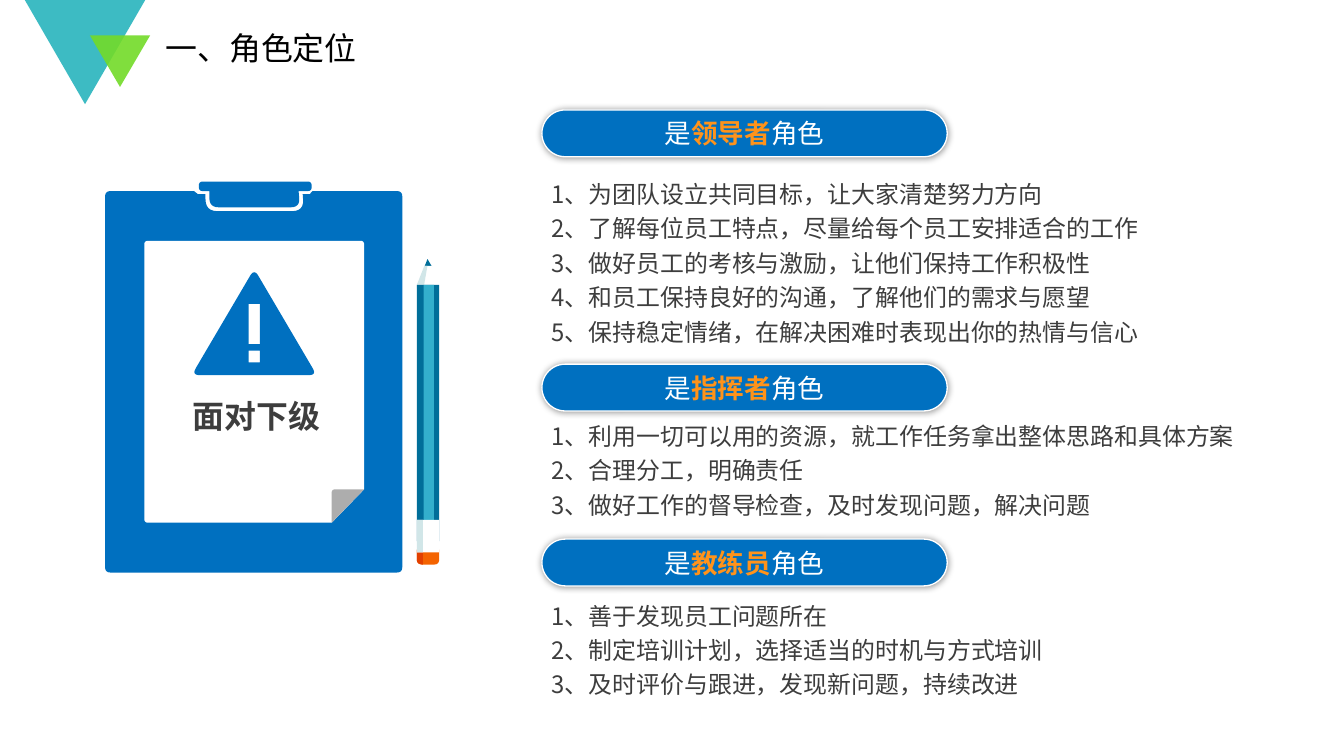
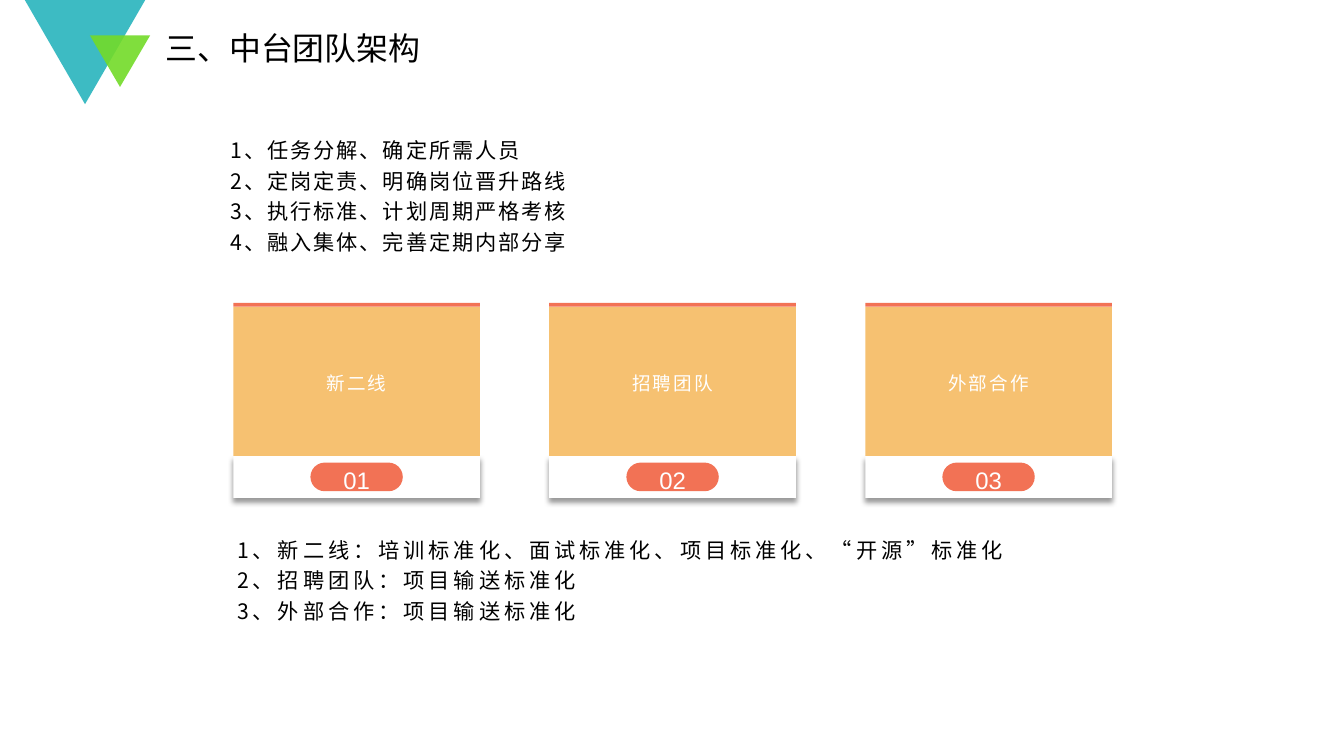
from lxml.etree import SubElement
from pptx import Presentation
from pptx.dml.color import RGBColor
from pptx.enum.shapes import MSO_SHAPE
from pptx.enum.text import MSO_ANCHOR, MSO_AUTO_SIZE, PP_ALIGN
from pptx.oxml.ns import qn
from pptx.util import Pt

BLUE, WHITE, INK, BLACK = "0070C0", "FFFFFF", "3D3D3D", "000000"
ORANGE, SAND, CORAL = "FF931A", "F6C171", "F27255"
PENCIL_DARK, PENCIL_LIGHT, WOOD = "006E99", "33AFCC", "D1E6E8"
CJK = "Noto Sans CJK SC"
NO_MARGINS = dict.fromkeys(("margin_left", "margin_top", "margin_right", "margin_bottom"), 0)

ROLES = [
    ("领导者", 82.8, 127.4, 516.2, 136, [
        "1、为团队设立共同目标，让大家清楚努力方向",
        "2、了解每位员工特点，尽量给每个员工安排适合的工作",
        "3、做好员工的考核与激励，让他们保持工作积极性",
        "4、和员工保持良好的沟通，了解他们的需求与愿望",
        "5、保持稳定情绪，在解决困难时表现出你的热情与信心",
    ]),
    ("指挥者", 274.3, 309.6, 540.7, 83.5, [
        "1、利用一切可以用的资源，就工作任务拿出整体思路和具体方案",
        "2、合理分工，明确责任",
        "3、做好工作的督导检查，及时发现问题，解决问题",
    ]),
    ("教练员", 406.1, 445, 516.2, 83.5, [
        "1、善于发现员工问题所在",
        "2、制定培训计划，选择适当的时机与方式培训",
        "3、及时评价与跟进，发现新问题，持续改进",
    ]),
]
TEAMS = ["新二线", "招聘团队", "外部合作"]
STEPS = [
    "1、任务分解、确定所需人员",
    "2、定岗定责、明确岗位晋升路线",
    "3、执行标准、计划周期严格考核",
    "4、融入集体、完善定期内部分享",
]
STANDARDS = [
    "1、新二线：培训标准化、面试标准化、项目标准化、“开源”标准化",
    "2、招聘团队：项目输送标准化",
    "3、外部合作：项目输送标准化",
]


def apply(target, formats):
    for key, value in formats.items():
        setattr(target, key, value)


def paint(fill, colour, opacity=100):
    fill.solid()
    fill.fore_color.rgb = RGBColor.from_string(colour)
    if opacity < 100:
        clr = fill._xPr.find(qn("a:solidFill"))[0]
        SubElement(clr, qn("a:alpha"), val=str(opacity * 1000))


def place(target, left, top, width, height):
    apply(target, dict(left=Pt(left), top=Pt(top), width=Pt(width), height=Pt(height)))


def add_run(paragraph, text, size, colour, font=CJK, bold=False, spacing=0):
    run = paragraph.add_run()
    run.text = text
    apply(run.font, dict(name=font, size=Pt(size), bold=bold))
    paint(run.font.fill, colour)
    properties = run._r.get_or_add_rPr()
    SubElement(properties, qn("a:ea"), typeface=CJK)
    if spacing:
        properties.set("spc", str(int(spacing * 100)))


def write(frame, lines, size, colour, align=PP_ALIGN.LEFT, line_spacing=1.0, **run_style):
    for number, line in enumerate(lines):
        paragraph = frame.add_paragraph() if number else frame.paragraphs[0]
        properties = paragraph._p.get_or_add_pPr()
        properties.set("marL", "0")
        properties.set("indent", "0")
        SubElement(properties, qn("a:buNone"))
        apply(paragraph, dict(alignment=align, line_spacing=line_spacing, space_before=Pt(0)))
        add_run(paragraph, line, size, colour, **run_style)


def cast_shadow(shape, blur, distance, direction):
    effects = shape.element.spPr.find(qn("a:effectLst"))
    shadow = SubElement(effects, qn("a:outerShdw"), blurRad=str(Pt(blur)),
                        dist=str(Pt(distance)), dir=str(direction * 60000),
                        algn="ctr", rotWithShape="0")
    colour = SubElement(shadow, qn("a:srgbClr"), val=BLACK)
    SubElement(colour, qn("a:alpha"), val="40000")


def finish(shape, colour, opacity=100):
    shape.shadow.inherit = False
    paint(shape.fill, colour, opacity)
    shape.line.fill.background()
    return shape


def add_block(shapes, box, colour, preset=MSO_SHAPE.RECTANGLE, opacity=100):
    return finish(shapes.add_shape(preset, *map(Pt, box)), colour, opacity)


def add_pill(shapes, box, colour):
    pill = add_block(shapes, box, colour, MSO_SHAPE.ROUNDED_RECTANGLE)
    pill.adjustments[0] = 0.5
    return pill


def toward(start, end, distance):
    dx, dy = end[0] - start[0], end[1] - start[1]
    share = distance / (dx * dx + dy * dy) ** 0.5
    return start[0] + dx * share, start[1] + dy * share


def round_corners(corners, steps=6):
    points = []
    for index, (x, y, radius) in enumerate(corners):
        if not radius:
            points.append((x, y))
            continue
        a = toward((x, y), corners[index - 1], radius)
        b = toward((x, y), corners[(index + 1) % len(corners)], radius)
        for step in range(steps + 1):
            t = step / steps
            points.append(tuple((1 - t) ** 2 * p + 2 * t * (1 - t) * q + t * t * r
                                for p, q, r in zip(a, (x, y), b)))
    return points


def add_outline(shapes, colour, *contours):
    builder = None
    for contour in contours:
        first, *rest = [(Pt(x), Pt(y)) for x, y in round_corners(contour)]
        if builder is None:
            builder = shapes.build_freeform(*first)
        else:
            builder.move_to(*first)
        builder.add_line_segments(rest, close=True)
    return finish(builder.convert_to_shape(), colour)


def rectangle(left, top, right, bottom):
    return [(left, top, 0), (left, bottom, 0), (right, bottom, 0), (right, top, 0)]


def decorate_layout(layout, slide):
    triangles = [((18.7, 0, 90.7, 78.5), "29B4BD"), ((67.7, 26.6, 45.4, 38.9), "73DB29")]
    for number, (box, colour) in enumerate(triangles):
        triangle = add_block(slide.shapes, box, colour, MSO_SHAPE.ISOSCELES_TRIANGLE, 90)
        triangle.rotation = 180
        triangle.element.nvSpPr.cNvPr.set("id", str(100 + number))
        layout.shapes.element.insert(2 + number, triangle.element)
    title = layout.placeholders[0]
    place(title, 124.6, 21.6, 787, 28.8)
    apply(title.text_frame, dict(vertical_anchor=MSO_ANCHOR.MIDDLE, **NO_MARGINS))


def start_slide(deck, layout, title):
    slide = deck.slides.add_slide(layout)
    slide.shapes.title.text_frame.auto_size = MSO_AUTO_SIZE.NONE
    write(slide.shapes.title.text_frame, [title], 24, BLACK, font="Arial")
    return slide


def fill_list(placeholder, box, lines, size, colour, anchor, **style):
    place(placeholder, *box)
    apply(placeholder.text_frame, dict(auto_size=MSO_AUTO_SIZE.NONE, vertical_anchor=anchor))
    write(placeholder.text_frame, lines, size, colour, line_spacing=1.2, **style)


def remove_unused(slide):
    for placeholder in list(slide.placeholders):
        if not placeholder.text_frame.text:
            placeholder.element.getparent().remove(placeholder.element)


def draw_pencil(slide):
    shapes = slide.shapes.add_group_shape().shapes
    left, right = 314, 330.8
    add_outline(shapes, PENCIL_DARK, [(319.7, 200.9, 0), (322, 195.1, 0), (325.4, 200.9, 0)])
    add_outline(shapes, WHITE, [(right, 214.6, 0), (right, 217.4, 0), (left, 217.4, 0),
                                (left, 214.6, 0), (319.7, 200.2, 0), (325.4, 200.2, 0)])
    add_outline(shapes, WOOD, [(319.7, 200.2, 0), (left, 214.6, 0), (left, 217.4, 0),
                               (319, 217.4, 0), (322, 200.2, 0)])
    add_outline(shapes, "F46300", [(left, 414, 0), (right, 414, 0),
                                   (right, 425.3, 4), (left, 425.3, 4)])
    add_block(shapes, (left, 214.6, 16.8, 193), PENCIL_DARK)
    add_block(shapes, (319, 214.6, 7.9, 193), PENCIL_LIGHT)
    add_outline(shapes, "E24000", [(left, 414, 0), (318.6, 414, 0),
                                   (318.6, 425.3, 0), (left, 424.5, 3)])
    add_block(shapes, (left, 391.7, 16.8, 24.5), WHITE)
    add_block(shapes, (left, 391.7, 4.6, 24.5), WOOD)


def draw_clipboard(slide, caption):
    shapes = slide.shapes.add_group_shape().shapes
    add_outline(shapes, BLUE, [
        (303, 144, 4), (235.4, 144, 0), (233.3, 146.2, 0), (228, 146.2, 0), (229, 159.1, 9),
        (154.8, 159.1, 9), (154.8, 146.2, 0), (149, 146.2, 0), (146.2, 144, 0),
        (79.2, 144, 4), (79.2, 431.3, 4), (303, 431.3, 4)])
    add_outline(shapes, WHITE, [(108.7, 181.4, 3), (274.3, 181.4, 3), (274.3, 368.6, 0),
                                (249.8, 393.8, 0), (108.7, 393.8, 3)])
    add_outline(shapes, BLUE, [(149.8, 136.8, 3), (234.7, 136.8, 3), (234.7, 144, 3),
                               (224.9, 144, 0), (226, 156.2, 7), (157.7, 156.2, 7),
                               (157.7, 144, 0), (149.8, 144, 3)])
    add_outline(shapes, "ADADAD", [(249.8, 368.6, 3), (274.3, 368.6, 0), (249.8, 393.8, 0)])
    add_outline(shapes, BLUE, [(191.5, 202.5, 6), (238.6, 282.6, 6), (144.4, 282.6, 6)],
                rectangle(187.2, 229, 195.8, 259.2), rectangle(187.2, 264.2, 195.8, 272.9))
    label = shapes.add_textbox(*map(Pt, (125.3, 295.2, 135.4, 36)))
    label.text_frame.word_wrap = True
    write(label.text_frame, [caption], 24, INK, PP_ALIGN.CENTER, bold=True)


def add_role_banner(slide, role, top):
    banner = add_pill(slide.shapes, (408.2, top, 305.3, 35.3), BLUE)
    paint(banner.line.fill, WHITE)
    banner.line.width = Pt(1)
    cast_shadow(banner, 5, 0, 0)
    apply(banner.text_frame, dict(vertical_anchor=MSO_ANCHOR.MIDDLE, **NO_MARGINS))
    paragraph = banner.text_frame.paragraphs[0]
    paragraph.alignment = PP_ALIGN.CENTER
    for text, colour in (("是", WHITE), (role, ORANGE), ("角色", WHITE)):
        add_run(paragraph, text, 20, colour, bold=colour == ORANGE)


def add_team_card(slide, left, number, team):
    shapes = slide.shapes.add_group_shape().shapes
    width = 185.8
    base = add_block(shapes, (left, 343.4, width, 31.7), WHITE)
    cast_shadow(base, 4, 3, 90)
    panel = add_block(shapes, (left, 231.1, width, 112.3), SAND)
    add_block(shapes, (left, 228.2, width, 2.9), CORAL)
    badge = add_pill(shapes, (left + 58.1, 348.5, 69.6, 21.6), CORAL)
    for part, text, size, style in (
            (panel, team, 14, dict(spacing=1.5)),
            (badge, f"{number:02}", 18, dict(font="Arial"))):
        part.text_frame.vertical_anchor = MSO_ANCHOR.MIDDLE
        write(part.text_frame, [text], size, WHITE, PP_ALIGN.CENTER, 1.2, **style)


def build_roles(slide):
    draw_pencil(slide)
    draw_clipboard(slide, "面对下级")
    for index, (role, banner_top, top, width, height, duties) in enumerate(ROLES, 1):
        fill_list(slide.placeholders[index], (408.2, top, width, height), duties, 18, INK,
                  MSO_ANCHOR.TOP, align=PP_ALIGN.JUSTIFY)
        add_role_banner(slide, role, banner_top)
    remove_unused(slide)


def build_teams(slide):
    for index, team in enumerate(TEAMS):
        add_team_card(slide, 175.7 + 238 * index, index + 1, team)
    fill_list(slide.placeholders[1], (166.3, 120.3, 469.4, 51.1), STEPS, 16, BLACK,
              MSO_ANCHOR.MIDDLE, spacing=1.5)
    fill_list(slide.placeholders[2], (171.4, 409.7, 640.8, 51.1), STANDARDS, 16, BLACK,
              MSO_ANCHOR.MIDDLE, spacing=3)
    remove_unused(slide)


def main():
    deck = Presentation()
    apply(deck, dict(slide_width=Pt(1012.3), slide_height=Pt(569.5)))
    layout = deck.slide_layouts[4]
    roles = start_slide(deck, layout, "一、角色定位")
    decorate_layout(layout, roles)
    build_roles(roles)
    build_teams(start_slide(deck, layout, "三、中台团队架构"))
    deck.save("out.pptx")


if __name__ == "__main__":
    main()
